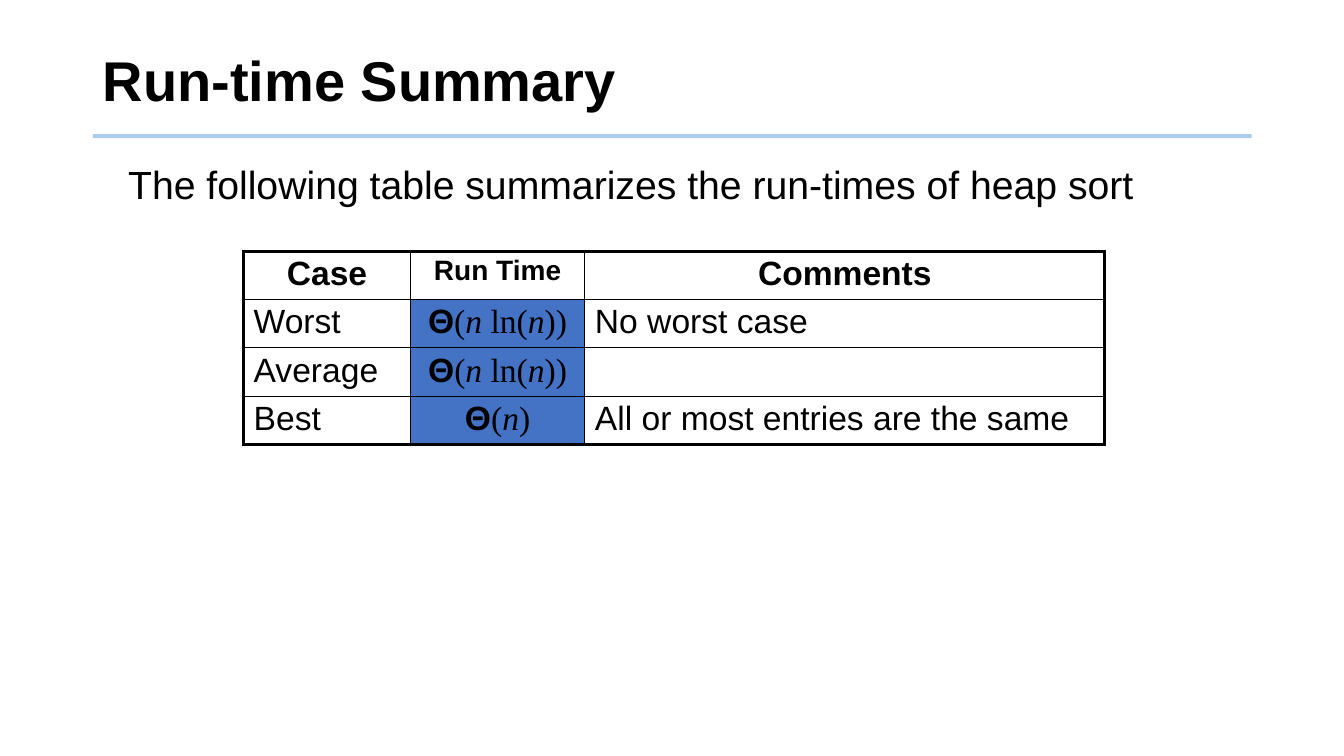
from lxml.etree import SubElement
from pptx import Presentation
from pptx.dml.color import RGBColor
from pptx.enum.shapes import MSO_CONNECTOR
from pptx.enum.text import MSO_ANCHOR, PP_ALIGN
from pptx.oxml.ns import qn
from pptx.util import Cm, Pt

LINE = MSO_CONNECTOR.STRAIGHT
TOP, MIDDLE = MSO_ANCHOR.TOP, MSO_ANCHOR.MIDDLE
LEFT, CENTER = PP_ALIGN.LEFT, PP_ALIGN.CENTER
BLACK = RGBColor(0x00, 0x00, 0x00)
SKY = RGBColor(0x5B, 0x9B, 0xD5)
BLUE = RGBColor(0x44, 0x72, 0xC4)
SANS, SERIF = "Arial", "Times New Roman"

HEADS = [("Case", 24), ("Run Time", 20), ("Comments", 24)]
LOG = [("n ", True), ("ln(", False), ("n", True), ("))", False)]
CASES = [
    ("Worst", LOG, "No worst case"),
    ("Average", [("n", True), (" ln(", False)] + LOG[2:], ""),
    ("Best", [("n", True), (")", False)], "All or most entries are the same"),
]
WIDTHS = (4.2, 4.4, 13.1)
ROW = 1.2


def add_run(para, text, size, face=SANS, bold=False, slant=False):
    """Append one styled run to a paragraph."""
    run = para.add_run()
    run.text = text
    font = run.font
    font.name, font.size = face, Pt(size)
    font.bold, font.italic = bold, slant
    font.color.rgb = BLACK


def add_title(slide, text, left, top, width, height):
    """Fill the title and rule a pale line under it."""
    title = slide.shapes.title
    title.left, title.top = Cm(left), Cm(top)
    title.width, title.height = Cm(width), Cm(height)
    frame = title.text_frame
    frame.word_wrap = True
    frame.vertical_anchor = MIDDLE
    para = frame.paragraphs[0]
    para.alignment, para.line_spacing = LEFT, 0.9
    add_run(para, text, 40, bold=True)
    base = Cm(top + height - 0.07)
    rule = slide.shapes.add_connector(LINE, Cm(left), base, Cm(left + width), base)
    rule.line.color.rgb, rule.line.width = SKY, Pt(3)
    tint = next(rule.line._ln.iter(qn("a:srgbClr")))
    SubElement(tint, qn("a:alpha"), val="50000")
    SubElement(rule._element.spPr, qn("a:effectLst"))


def add_body(slide, text, left, top, width, height):
    """Place the indented opening sentence."""
    box = slide.shapes.add_textbox(Cm(left), Cm(top), Cm(width), Cm(height))
    frame = box.text_frame
    frame.word_wrap = True
    frame.vertical_anchor = TOP
    para = frame.paragraphs[0]
    para.line_spacing = 0.9
    para._p.get_or_add_pPr().set("marL", str(Cm(0.64)))
    add_run(para, text, 28)


def set_edges(cell, row, col):
    """Draw thick outer and thin inner borders on a cell."""
    outer = {"L": col == 0, "R": col == len(WIDTHS) - 1,
             "T": row == 0, "B": row == len(CASES)}
    props = cell._tc.get_or_add_tcPr()
    for side, thick in outer.items():
        edge = SubElement(props, qn(f"a:ln{side}"), w=str(Pt(2.25 if thick else 1)))
        fill = SubElement(edge, qn("a:solidFill"))
        SubElement(fill, qn("a:srgbClr"), val=str(BLACK))


def fill_cell(cell, row, col):
    """Write and colour one cell of the table."""
    cell.margin_top = cell.margin_bottom = Cm(0.1)
    set_edges(cell, row, col)
    para = cell.text_frame.paragraphs[0]
    para.alignment = CENTER if row == 0 or col == 1 else LEFT
    if row and col == 1:
        cell.fill.solid()
        cell.fill.fore_color.rgb = BLUE
        add_run(para, "Θ", 24, bold=True)
        for text, slant in [("(", False)] + CASES[row - 1][col]:
            add_run(para, text, 24, SERIF, slant=slant)
        return
    cell.fill.background()
    text, size = (CASES[row - 1][col], 24) if row else HEADS[col]
    if text:
        add_run(para, text, size, bold=row == 0)


def add_times(slide, left, top):
    """Build the table of run-times."""
    count = len(CASES) + 1
    table = slide.shapes.add_table(count, len(WIDTHS), Cm(left), Cm(top),
                                   Cm(sum(WIDTHS)), Cm(ROW * count)).table
    table.first_row = table.horz_banding = False
    for col, width in enumerate(WIDTHS):
        table.columns[col].width = Cm(width)
    for row in range(count):
        table.rows[row].height = Cm(ROW)
        for col in range(len(WIDTHS)):
            fill_cell(table.cell(row, col), row, col)


def main():
    """Build and save the slide."""
    deck = Presentation()
    deck.slide_width, deck.slide_height = Cm(33.87), Cm(19.05)
    slide = deck.slides.add_slide(deck.slide_layouts[5])
    add_title(slide, "Run-time Summary", 2.34, 0.7, 29.2, 2.8)
    add_body(slide, "The following table summarizes the run-times of heap sort",
             2.34, 4.06, 29.2, 1.5)
    add_times(slide, 6.14, 6.33)
    deck.save("out.pptx")


if __name__ == "__main__":
    main()
